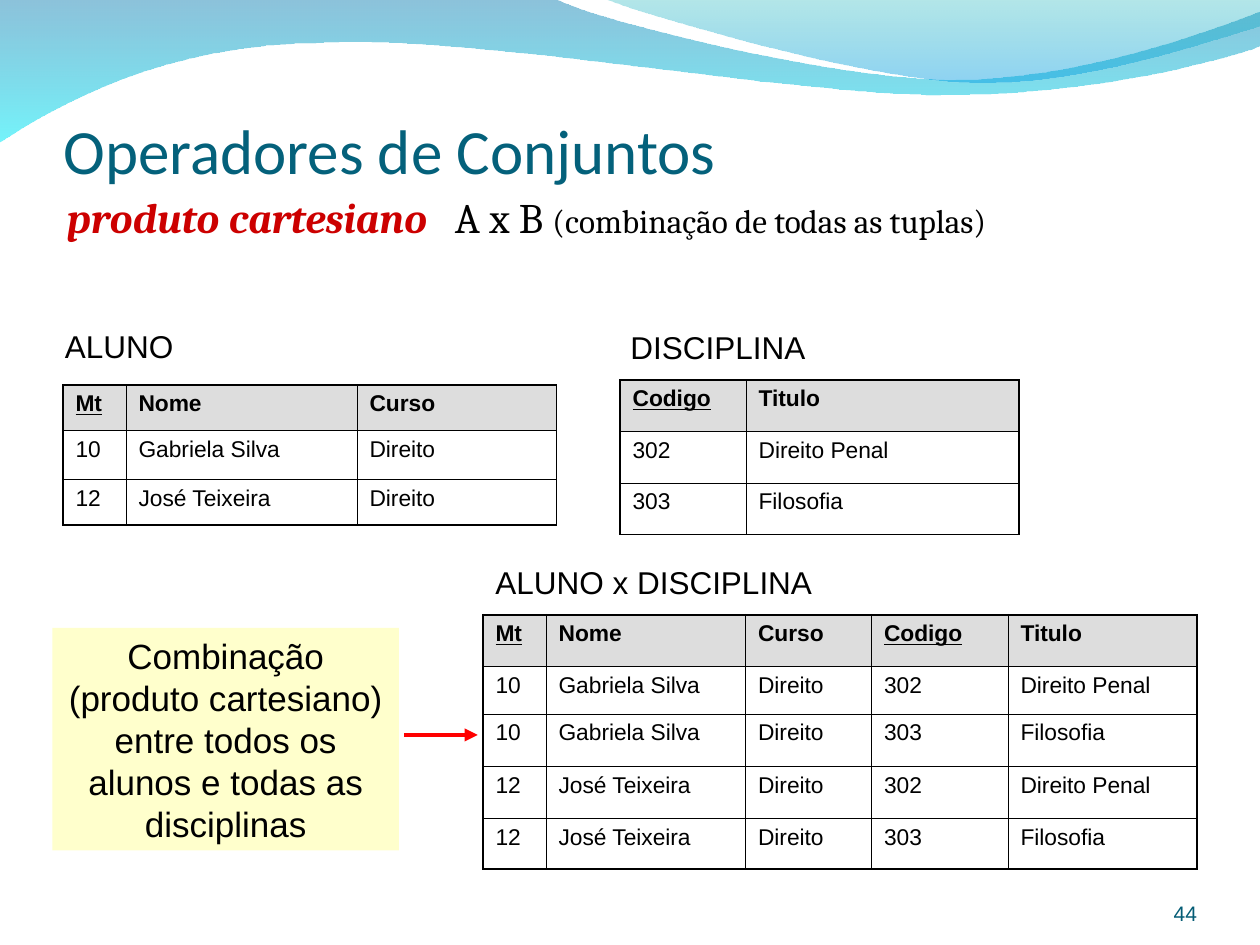
from dataclasses import dataclass

from lxml import etree
from pptx import Presentation
from pptx.dml.color import RGBColor
from pptx.enum.shapes import MSO_CONNECTOR, MSO_SHAPE
from pptx.enum.text import MSO_ANCHOR, MSO_AUTO_SIZE, PP_ALIGN
from pptx.oxml.ns import qn
from pptx.util import Inches, Pt

STRAIGHT, RECTANGLE = MSO_CONNECTOR.STRAIGHT, MSO_SHAPE.RECTANGLE
TOP, BOTTOM = MSO_ANCHOR.TOP, MSO_ANCHOR.BOTTOM
LEFT, CENTER, RIGHT = PP_ALIGN.LEFT, PP_ALIGN.CENTER, PP_ALIGN.RIGHT
FIT = MSO_AUTO_SIZE.SHAPE_TO_FIT_TEXT

COLORS = {
    "ink": "000000", "title": "04617B", "number": "045C75", "term": "CC0000",
    "header": "DDDDDD", "note": "FFFFCC", "arrow": "FF0000",
    "deep": "0079AF", "aqua": "00EBF8", "teal": "00ADB6", "sky": "009BE5",
}
SLIDE_WIDTH, SLIDE_HEIGHT = Inches(10), Inches(7.5)
GRID_COLUMNS = 120
OUTER_BORDER, INNER_BORDER = 1.08, 0.45
KEYS = {"Mt", "Codigo"}


@dataclass(frozen=True)
class Wave:
    start: tuple
    steps: list
    stops: list


@dataclass(frozen=True)
class Relation:
    name: str
    name_at: tuple
    at: tuple
    columns: list
    rows: list
    records: list


STUDENTS = [("10", "Gabriela Silva", "Direito"), ("12", "José Teixeira", "Direito")]
SUBJECTS = [("302", "Direito Penal"), ("303", "Filosofia")]
STUDENT_FIELDS = ("Mt", "Nome", "Curso")
SUBJECT_FIELDS = ("Codigo", "Titulo")

RELATIONS = [
    Relation("ALUNO", (5, 30.55, 12.9, 4.8), (6, 36.65), [6, 22, 19],
             [4.35, 4.65, 4.35], [STUDENT_FIELDS, *STUDENTS]),
    Relation("DISCIPLINA", (58.85, 30.65, 19.3, 4.8), (59.05, 36.2), [12, 26],
             [4.9] * 3, [SUBJECT_FIELDS, *SUBJECTS]),
    Relation("ALUNO x DISCIPLINA", (46, 53, 33, 4.8), (46, 58.55),
             [6, 19, 12, 13, 18], [4.9, 4.55, 5, 4.95, 4.85],
             [STUDENT_FIELDS + SUBJECT_FIELDS,
              *(student + subject for student in STUDENTS for subject in SUBJECTS)]),
]

WAVES = [
    Wave((0, -0.1),
         [[(44, -0.1)], [(47.6, 1.7), (66.4, 6.3), (75.8, 6.3)],
          [(85.3, 6.3), (95.8, 2.6), (100, 0.9)], [(100.1, 3.6)],
          [(98.3, 4.4), (87, 7.6), (74.6, 7.5)],
          [(62.2, 7.5), (38.2, 2.8), (25.7, 3.4)],
          [(12.9, 3.5), (4.6, 8.3), (-0.1, 11.3)]],
         [("deep", 45), ("aqua", 55)]),
    Wave((47.9, -0.1),
         [[(50.9, 1.1), (68.2, 6.2), (76.9, 6.5)],
          [(85.6, 6.9), (96.1, 3.2), (100, 2.1)], [(100, 0)]],
         [("teal", 30), ("sky", 45)]),
]


def grid(units: float) -> int:
    return round(SLIDE_WIDTH * units / GRID_COLUMNS)


def share(point: tuple) -> tuple:
    return tuple(round(SLIDE_WIDTH * percent / 100) for percent in point)


def rgb(color: str) -> RGBColor:
    return RGBColor.from_string(COLORS[color])


def write(paragraph, text: str, *, size: float, font: str = "Arial",
          color: str = "ink", bold: bool = False, italic: bool = False,
          underline: bool = False) -> None:
    run = paragraph.add_run()
    run.text = text
    run.font.name, run.font.size = font, Pt(size)
    run.font.color.rgb = rgb(color)
    run.font.bold, run.font.italic, run.font.underline = bold, italic, underline


def add_box(slide, at: tuple, *, anchor=TOP, align=LEFT, wrap: bool = True,
            insets: tuple = (0.1, 0.05, 0.1, 0.05)):
    box = slide.shapes.add_textbox(*map(grid, at))
    frame = box.text_frame
    frame.word_wrap, frame.vertical_anchor = wrap, anchor
    if not wrap:
        frame.auto_size = FIT
    (frame.margin_left, frame.margin_top,
     frame.margin_right, frame.margin_bottom) = map(Inches, insets)
    frame.paragraphs[0].alignment = align
    return frame.paragraphs[0]


def bend(shape, steps: list) -> None:
    segments = iter(list(shape.element.iter(qn("a:lnTo"))))
    for step in steps:
        curve, *controls = [next(segments) for _ in step]
        if controls:
            curve.tag = qn("a:cubicBezTo")
        for control in controls:
            curve.append(control[0])
            control.getparent().remove(control)


def draw_wave(slide, wave: Wave) -> None:
    builder = slide.shapes.build_freeform(*share(wave.start))
    builder.add_line_segments([share(point) for step in wave.steps for point in step],
                              close=True)
    shape = builder.convert_to_shape()
    bend(shape, wave.steps)
    shape.shadow.inherit = False
    shape.line.fill.background()
    shape.fill.gradient()
    shape.fill.gradient_angle = 270
    for stop, (color, opacity) in zip(shape.fill.gradient_stops, wave.stops):
        stop.color.rgb = rgb(color)
    for node, (color, opacity) in zip(shape.element.iter(qn("a:gs")), wave.stops):
        etree.SubElement(node[0], qn("a:alpha"), val=str(opacity * 1000))


def set_borders(cell, outer: dict) -> None:
    properties = cell._tc.get_or_add_tcPr()
    for side, is_outer in outer.items():
        width = OUTER_BORDER if is_outer else INNER_BORDER
        line = etree.SubElement(properties, qn(f"a:ln{side}"), w=str(Pt(width)))
        fill = etree.SubElement(line, qn("a:solidFill"))
        etree.SubElement(fill, qn("a:srgbClr"), val=COLORS["ink"])


def draw_relation(slide, relation: Relation) -> None:
    write(add_box(slide, relation.name_at, wrap=False), relation.name, size=18)
    last_row, last_column = len(relation.rows) - 1, len(relation.columns) - 1
    size = sum(relation.columns), sum(relation.rows)
    table = slide.shapes.add_table(last_row + 1, last_column + 1,
                                   *map(grid, relation.at + size)).table
    table.first_row = table.horz_banding = False
    for column, width in zip(table.columns, relation.columns):
        column.width = grid(width)
    for row, height in zip(table.rows, relation.rows):
        row.height = grid(height)
    for r, record in enumerate(relation.records):
        for c, value in enumerate(record):
            cell = table.cell(r, c)
            set_borders(cell, {"L": c == 0, "R": c == last_column,
                               "T": r == 0, "B": r == last_row})
            if r == 0:
                cell.fill.solid()
                cell.fill.fore_color.rgb = rgb("header")
            else:
                cell.fill.background()
            write(cell.text_frame.paragraphs[0], value, size=13,
                  bold=r == 0, underline=value in KEYS)


def draw_note(slide) -> None:
    note = slide.shapes.add_shape(RECTANGLE, *map(grid, (5, 59.8, 33, 21.2)))
    note.shadow.inherit = False
    note.fill.solid()
    note.fill.fore_color.rgb = rgb("note")
    note.line.fill.background()
    note.text_frame.word_wrap = True
    note.text_frame.vertical_anchor = TOP
    sentence = note.text_frame.paragraphs[0]
    sentence.alignment = CENTER
    write(sentence, "Combinação (produto cartesiano) entre todos os alunos e todas as disciplinas",
          size=20)
    arrow = slide.shapes.add_connector(STRAIGHT, *map(grid, (38.5, 70, 45.5, 70)))
    arrow.line.color.rgb = rgb("arrow")
    arrow.line.width = Pt(2.5)
    etree.SubElement(arrow.line._get_or_add_ln(), qn("a:tailEnd"), type="triangle")
    etree.SubElement(arrow.element.spPr, qn("a:effectLst"))


def draw_heading(slide) -> None:
    title = add_box(slide, (6.05, 9.2, 108, 8.6), anchor=BOTTOM, insets=(0, 0.05, 0, 0))
    write(title, "Operadores de Conjuntos", size=36, font="Calibri", color="title")
    definition = add_box(slide, (5.2, 15.7, 111, 9))
    definition.line_spacing = 1.4
    tabs = etree.SubElement(definition._p.get_or_add_pPr(), qn("a:tabLst"))
    etree.SubElement(tabs, qn("a:tab"), pos=str(grid(36.95)), algn="l")
    write(definition, "produto cartesiano\t", size=24, font="Cambria", color="term",
          bold=True, italic=True)
    write(definition, "A x B ", size=24, font="Cambria")
    write(definition, "(combinação de todas as tuplas)", size=19, font="Cambria")


def main() -> None:
    deck = Presentation()
    deck.slide_width, deck.slide_height = SLIDE_WIDTH, SLIDE_HEIGHT
    slide = deck.slides.add_slide(deck.slide_layouts[6])
    for wave in WAVES:
        draw_wave(slide, wave)
    draw_heading(slide)
    number = add_box(slide, (104, 83.4, 10, 4.8), anchor=BOTTOM, align=RIGHT,
                     insets=(0, 0, 0, 0))
    write(number, "44", size=12, color="number")
    for relation in RELATIONS:
        draw_relation(slide, relation)
    draw_note(slide)
    deck.save("out.pptx")


if __name__ == "__main__":
    main()
